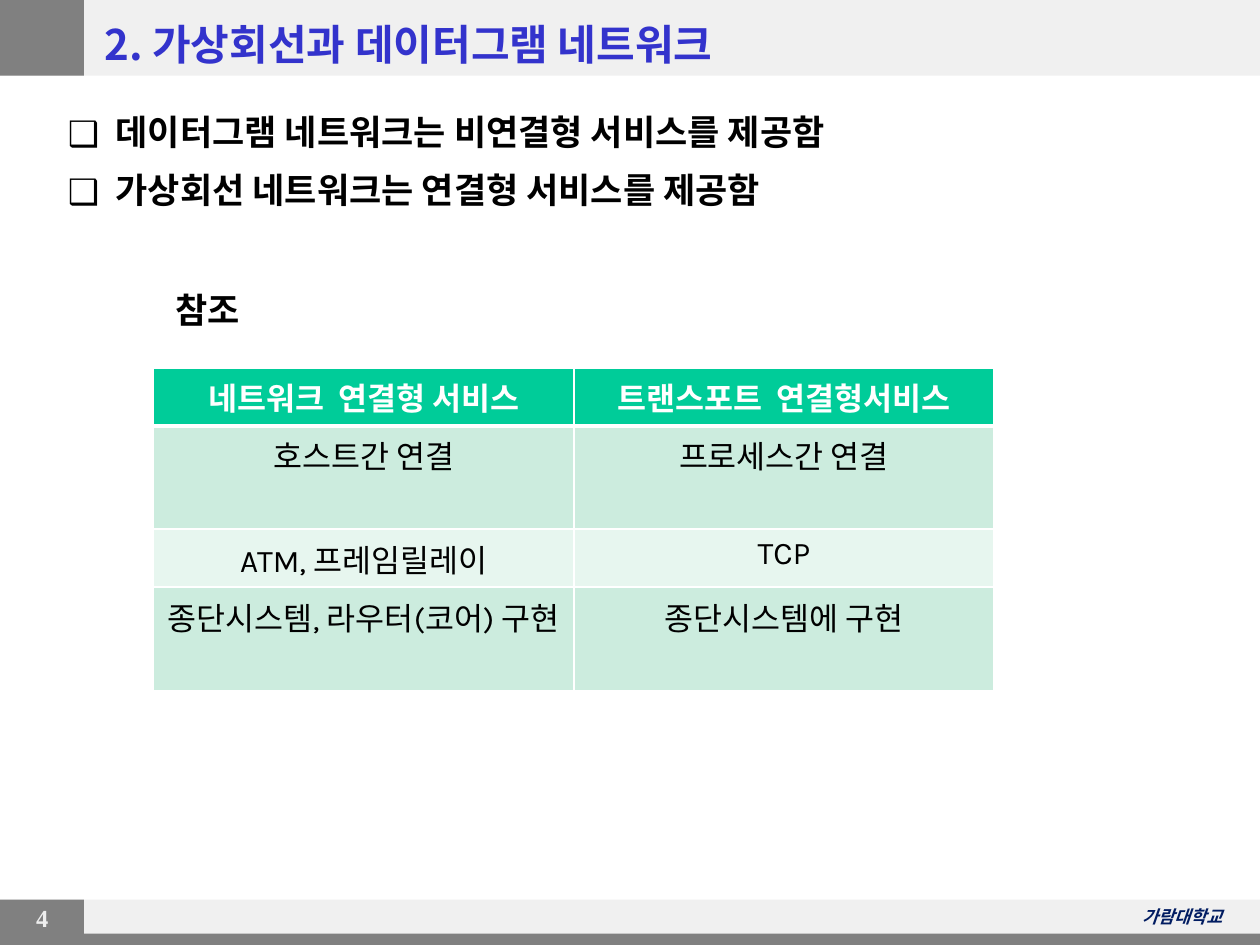
from dataclasses import dataclass

from lxml import etree
from pptx import Presentation
from pptx.dml.color import RGBColor
from pptx.enum.shapes import MSO_SHAPE
from pptx.enum.text import MSO_ANCHOR, PP_ALIGN
from pptx.oxml.ns import qn
from pptx.util import Inches, Pt

RECTANGLE = MSO_SHAPE.RECTANGLE
TOP, MIDDLE = MSO_ANCHOR.TOP, MSO_ANCHOR.MIDDLE
LEFT, CENTER, RIGHT = PP_ALIGN.LEFT, PP_ALIGN.CENTER, PP_ALIGN.RIGHT
WIDTH, HEIGHT = 10, 7.5


@dataclass(frozen=True)
class Theme:
    band: str = "F0F0F0"
    block: str = "808080"
    title: str = "3333CC"
    ink: str = "000000"
    white: str = "FFFFFF"
    number: str = "EEEEEE"
    school: str = "011C61"
    table_head: str = "00CC99"
    table_rows: tuple = ("CCECDE", "E7F6EF")
    korean: str = "Noto Sans CJK KR"
    latin: str = "Karla"
    serif: str = "Times New Roman"
    title_size: int = 24
    body_size: int = 20
    cell_size: int = 18
    number_size: int = 14
    school_size: int = 10


THEME = Theme()


def write(frame, lines, *, size, color=THEME.ink, font=THEME.korean, bold=True,
          italic=False, align=LEFT, gap=0, bullet=None, indent=0):
    for index, line in enumerate(lines):
        paragraph = frame.paragraphs[0] if index == 0 else frame.add_paragraph()
        paragraph.alignment = align
        paragraph.space_before = Pt(gap if index else 0)
        run = paragraph.add_run()
        run.text = line
        run.font.size = Pt(size)
        run.font.bold = bold
        run.font.italic = italic
        run.font.name = font
        run.font.color.rgb = RGBColor.from_string(color)
        east_asian = etree.SubElement(run.font._element, qn("a:ea"))
        east_asian.set("typeface", THEME.korean)
        if bullet:
            properties = paragraph._p.get_or_add_pPr()
            properties.set("marL", str(Inches(indent)))
            properties.set("indent", str(-Inches(indent)))
            etree.SubElement(properties, qn("a:buFont")).set("typeface", THEME.korean)
            etree.SubElement(properties, qn("a:buChar")).set("char", bullet)


def add_text(slide, box, lines, *, anchor=TOP, inset=0.1, wrap=True, **style):
    frame = slide.shapes.add_textbox(*map(Inches, box)).text_frame
    frame.word_wrap = wrap
    frame.vertical_anchor = anchor
    frame.margin_left = Inches(inset)
    write(frame, lines, **style)


def add_bar(slide, box, color):
    bar = slide.shapes.add_shape(RECTANGLE, *map(Inches, box))
    bar.shadow.inherit = False
    bar.fill.solid()
    bar.fill.fore_color.rgb = RGBColor.from_string(color)
    bar.line.fill.background()


def add_band(slide, box):
    left, top, width, height = box
    add_bar(slide, box, THEME.band)
    add_bar(slide, (left, top, width / 15, height), THEME.block)


def add_header(slide, box, title):
    left, top, width, height = box
    add_band(slide, box)
    add_text(slide, (left + 0.73, top + 0.1, width - 0.92, height - 0.1), [title],
             anchor=MIDDLE, size=THEME.title_size, color=THEME.title)


def add_footer(slide, box, number, school):
    left, top, width, height = box
    add_band(slide, box)
    add_text(slide, (left + 0.04, top - 0.02, 0.59, 0.33), [number], align=CENTER,
             size=THEME.number_size, color=THEME.number, font=THEME.serif)
    add_text(slide, (left + width - 1.85, top, 1.65, 0.27), [school], align=RIGHT,
             size=THEME.school_size, color=THEME.school, italic=True)
    add_bar(slide, (left, top + height * 0.75, width, height / 4), THEME.block)


def add_points(slide, box, points):
    add_text(slide, box, points, size=THEME.body_size, gap=9, bullet="❑", indent=0.38)


def set_borders(cell, bottom_width):
    properties = cell._tc.get_or_add_tcPr()
    widths = {"a:lnL": 1, "a:lnR": 1, "a:lnT": 1, "a:lnB": bottom_width}
    for position, (side, width) in enumerate(widths.items()):
        line = etree.Element(qn(side), w=str(Pt(width)))
        fill = etree.SubElement(line, qn("a:solidFill"))
        etree.SubElement(fill, qn("a:srgbClr")).set("val", THEME.white)
        properties.insert(position, line)


def add_comparison(slide, box, caption, rows, row_shares):
    left, top, width, height = box
    add_text(slide, (left, top - 0.68, 0.84, 0.44), [caption], inset=0.17,
             wrap=False, size=THEME.body_size, font=THEME.latin)
    table = slide.shapes.add_table(len(rows), len(rows[0]), *map(Inches, box)).table
    for column in table.columns:
        column.width = Inches(width / len(rows[0]))
    for index, (row, share) in enumerate(zip(rows, row_shares)):
        table.rows[index].height = Inches(height * share)
        head = index == 0
        fill = THEME.table_head if head else THEME.table_rows[(index - 1) % 2]
        for column, words in enumerate(row):
            cell = table.cell(index, column)
            cell.fill.solid()
            cell.fill.fore_color.rgb = RGBColor.from_string(fill)
            set_borders(cell, 3 if head else 1)
            write(cell.text_frame, [words], size=THEME.cell_size, font=THEME.latin,
                  color=THEME.white if head else THEME.ink, bold=head, align=CENTER)


def main():
    deck = Presentation()
    deck.slide_width, deck.slide_height = Inches(WIDTH), Inches(HEIGHT)
    slide = deck.slides.add_slide(deck.slide_layouts[6])
    add_footer(slide, (0, 7.14, WIDTH, 0.36), "4", "가람대학교")
    add_header(slide, (0, 0, WIDTH, 0.6), "2. 가상회선과 데이터그램 네트워크")
    add_points(slide, (0.44, 0.83, 9.14, 6.06), [
        "데이터그램 네트워크는 비연결형 서비스를 제공함",
        "가상회선 네트워크는 연결형 서비스를 제공함",
    ])
    add_comparison(slide, (1.22, 2.92, 6.67, 2.56), "참조", [
        ("네트워크  연결형 서비스", "트랜스포트  연결형서비스"),
        ("호스트간 연결", "프로세스간 연결"),
        ("ATM, 프레임릴레이", "TCP"),
        ("종단시스템, 라우터(코어) 구현", "종단시스템에 구현"),
    ], (0.18, 0.32, 0.18, 0.32))
    deck.save("out.pptx")


if __name__ == "__main__":
    main()
